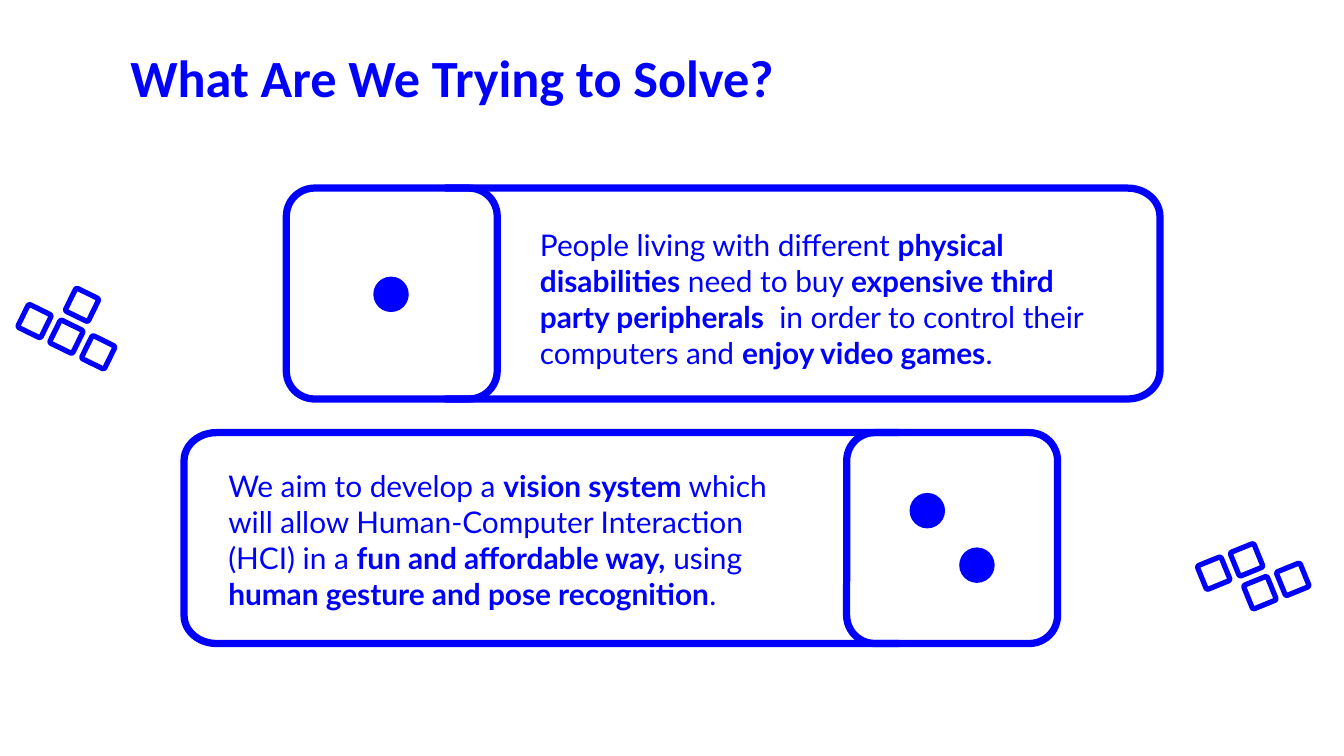
import math
from lxml import etree
from pptx import Presentation
from pptx.dml.color import RGBColor
from pptx.enum import shapes, text
from pptx.util import Pt

COLORS = {"blue": "0000FE"}
TITLE = "What Are We Trying to Solve?"

# Content: bold runs are marked with True
CARDS = [
    {
        "tile": (153.4, 100.8), "panel_inner": 238.3, "panel_outer": 621.4,
        "text_box": (282.2, 114.5), "dots": [(209.5, 157.7)],
        "runs": [
            ("People living with different ", False),
            ("physical disabilities", True),
            (" need to buy ", False),
            ("expensive third party peripherals", True),
            ("  in order to control their computers and ", False),
            ("enjoy video games", True),
            (".", False),
        ],
    },
    {
        "tile": (453.6, 231.8), "panel_inner": 481.7, "panel_outer": 98.6,
        "text_box": (115.2, 243.4), "dots": [(496.8, 273.6), (523.4, 302.8)],
        "runs": [
            ("We aim to develop a ", False),
            ("vision system", True),
            (" which will allow Human-Computer Interaction (HCI) in a ", False),
            ("fun and affordable way,", True),
            (" using ", False),
            ("human gesture and pose recognition", True),
            (".", False),
        ],
    },
]

# Square clusters: cells are (column, row) on a turned grid
CLUSTERS = [
    {"origin": (35.6, 180.4), "angle": 26.1,
     "cells": [(0, -1), (0, 0), (1, 0), (-1, 0)]},
    {"origin": (667.8, 299.9), "angle": -22.1,
     "cells": [(0, 0), (0, 1), (1, 1), (-1, 0)]},
]

TILE_SIZE = 113
TILE_RADIUS = 15.1
PANEL_RADIUS_X = 17.3
CARD_LINE = 3.88
DOT_SIZE = 19
SQUARE_SIZE = 13.7
SQUARE_LINE = 2.8
GRID_STEP = 19
TEXT_SIZE = (322.6, 90)
MARGINS = {f"margin_{side}": Pt(7.2) for side in ("left", "top", "right", "bottom")}
FRAME_FORMAT = {**MARGINS, "word_wrap": True,
                "auto_size": text.MSO_AUTO_SIZE.NONE,
                "vertical_anchor": text.MSO_ANCHOR.TOP}


def rgb(name):
    return RGBColor.from_string(COLORS[name])


def apply(target, values):
    for name, value in values.items():
        setattr(target, name, value)


def outline(shape, width):
    shape.shadow.inherit = False
    shape.fill.background()
    shape.line.color.rgb = rgb("blue")
    shape.line.width = Pt(width)


def write(shape, runs, font_name, size):
    apply(shape.text_frame, FRAME_FORMAT)
    paragraph = shape.text_frame.paragraphs[0]
    paragraph.alignment = text.PP_ALIGN.LEFT
    for words, bold in runs:
        run = paragraph.add_run()
        run.text = words
        apply(run.font, {"name": font_name, "size": Pt(size), "bold": bold})
        run.font.color.rgb = rgb("blue")


def add_centered(slide, kind, center, size):
    left, top = (value - size / 2 for value in center)
    return slide.shapes.add_shape(kind, Pt(left), Pt(top), Pt(size), Pt(size))


def add_panel(slide, inner, outer, top):
    """Draw an open panel whose two outer corners are rounded."""
    bottom = top + TILE_SIZE
    direction = math.copysign(1, outer - inner)
    center_x = outer - direction * PANEL_RADIUS_X
    points = []
    for center_y, start in ((bottom - TILE_RADIUS, 90), (top + TILE_RADIUS, 0)):
        for step in range(13):
            angle = math.radians(start - 7.5 * step)
            points.append((center_x + direction * PANEL_RADIUS_X * math.cos(angle),
                           center_y + TILE_RADIUS * math.sin(angle)))
    points.append((inner, top))
    builder = slide.shapes.build_freeform(Pt(inner), Pt(bottom))
    builder.add_line_segments([(Pt(x), Pt(y)) for x, y in points], close=False)
    outline(builder.convert_to_shape(), CARD_LINE)


def add_card(slide, card):
    left, top = card["tile"]
    center = (left + TILE_SIZE / 2, top + TILE_SIZE / 2)
    tile = add_centered(slide, shapes.MSO_SHAPE.ROUNDED_RECTANGLE, center, TILE_SIZE)
    tile.adjustments[0] = TILE_RADIUS / TILE_SIZE
    outline(tile, CARD_LINE)
    add_panel(slide, card["panel_inner"], card["panel_outer"], top)
    for position in card["dots"]:
        dot = add_centered(slide, shapes.MSO_SHAPE.OVAL, position, DOT_SIZE)
        dot.shadow.inherit = False
        dot.fill.solid()
        dot.fill.fore_color.rgb = rgb("blue")
        dot.line.fill.background()
    box = slide.shapes.add_textbox(*map(Pt, card["text_box"] + TEXT_SIZE))
    write(box, card["runs"], "Lato", 16)


def add_cluster(slide, cluster):
    x, y = cluster["origin"]
    angle = math.radians(cluster["angle"])
    across, down = GRID_STEP * math.cos(angle), GRID_STEP * math.sin(angle)
    for column, row in cluster["cells"]:
        center = (x + column * across - row * down, y + column * down + row * across)
        square = add_centered(slide, shapes.MSO_SHAPE.ROUNDED_RECTANGLE, center, SQUARE_SIZE)
        square.adjustments[0] = 0.08
        square.rotation = cluster["angle"]
        outline(square, SQUARE_LINE)


def main():
    presentation = Presentation()
    apply(presentation, {"slide_width": Pt(720), "slide_height": Pt(405)})
    slide = presentation.slides.add_slide(presentation.slide_layouts[5])

    # Title
    title = slide.shapes.title
    apply(title, {"left": Pt(62.6), "top": Pt(17.3), "width": Pt(607.7), "height": Pt(45.4)})
    write(title, [(TITLE, True)], "Calibri", 28)

    # Domino cards and square clusters
    for card in CARDS:
        add_card(slide, card)
    for cluster in CLUSTERS:
        add_cluster(slide, cluster)

    presentation.save("out.pptx")


if __name__ == "__main__":
    main()
